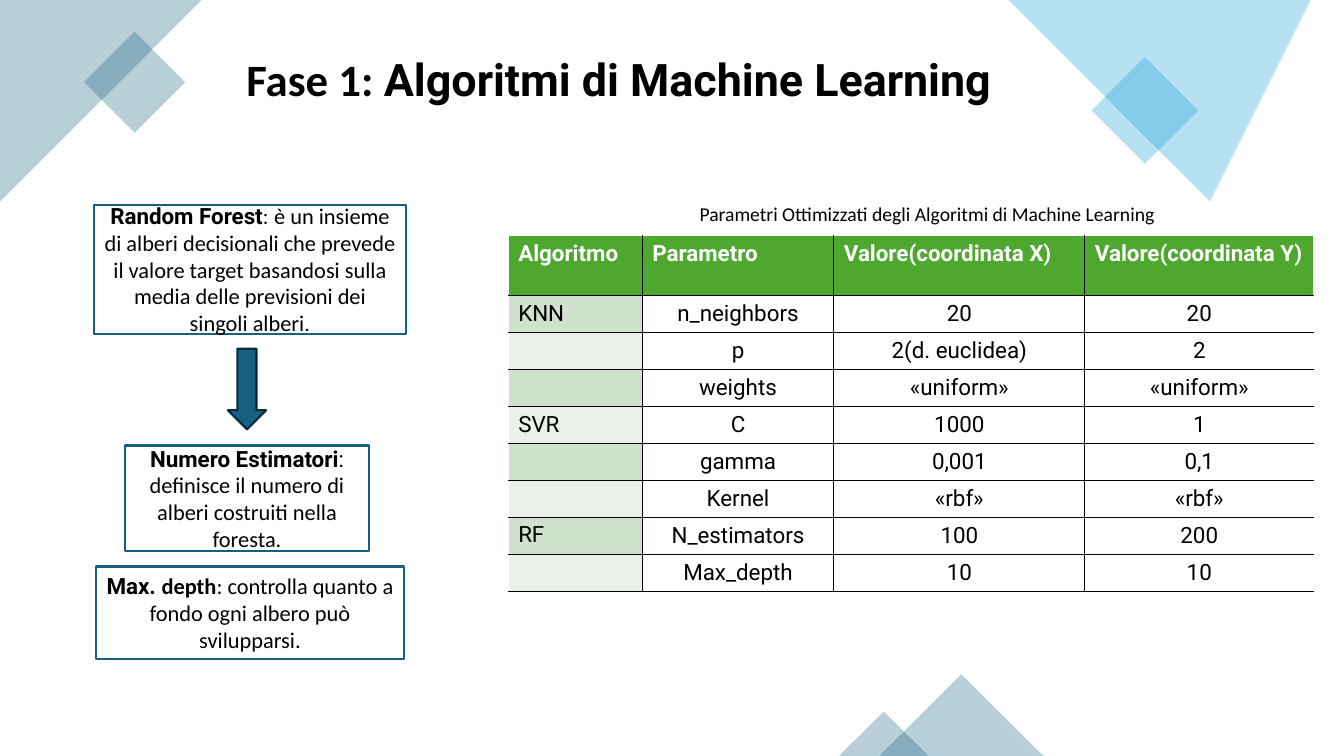
from lxml import etree
from pptx import Presentation
from pptx import util as u
from pptx.dml.color import RGBColor
from pptx.enum import shapes, text
from pptx.oxml.ns import qn


class Theme:
    blue = RGBColor.from_string("156082")
    sky = RGBColor.from_string("0F9ED5")
    navy = RGBColor.from_string("092A39")
    green = RGBColor.from_string("4EA72E")
    bands = [RGBColor.from_string("D0E1CD"), RGBColor.from_string("E9F1E8")]
    black = RGBColor.from_string("000000")
    white = RGBColor.from_string("FFFFFF")
    heading, body = "Roboto", "Calibri"
    title_size, text_size, caption_size = u.Pt(32), u.Pt(16), u.Pt(14)
    outline = u.Pt(1.5)


def paint(shape, fill, line=None, opacity=100):
    shape.shadow.inherit = False
    shape.fill.solid()
    shape.fill.fore_color.rgb = fill
    if opacity < 100:
        color = shape.element.spPr.find(qn("a:solidFill")).find(qn("a:srgbClr"))
        etree.SubElement(color, qn("a:alpha"), val=str(opacity * 1000))
    if line is None:
        shape.line.fill.background()
    else:
        shape.line.color.rgb = line
        shape.line.width = Theme.outline


def write(paragraph, runs, size, align):
    paragraph.alignment = align
    paragraph.font.size = size
    paragraph.font.color.rgb = Theme.black
    for content, font, bold in runs:
        run = paragraph.add_run()
        run.text = content
        run.font.name = font
        run.font.bold = bold


presentation = Presentation()
presentation.slide_width, presentation.slide_height = u.Inches(13.33), u.Inches(7.5)
slide = presentation.slides.add_slide(presentation.slide_layouts[5])
center, left_align = text.PP_ALIGN.CENTER, text.PP_ALIGN.LEFT
shape_type = shapes.MSO_SHAPE

corners = [
    ([(1.53, 0), (0, 0), (0, 1.3), (0.41, 1.71), (1.83, 0.3)], Theme.blue),
    ([(13.33, 0), (10.23, 0), (11.93, 1.62), (13.33, 0.28)], Theme.sky),
]
for points, color in corners:
    builder = slide.shapes.build_freeform(*points[0], scale=u.Inches(1))
    builder.add_line_segments(points[1:], close=True)
    paint(builder.convert_to_shape(), color, opacity=30)

ornaments = [
    (shape_type.RECTANGLE, 0.98, 0.46, 0.71, 0.71, 315, Theme.blue),
    (shape_type.RECTANGLE, 10.98, 0.72, 0.75, 0.75, 315, Theme.sky),
    (shape_type.ISOSCELES_TRIANGLE, 8.72, 6.69, 1.63, 0.81, 0, Theme.blue),
    (shape_type.ISOSCELES_TRIANGLE, 8.32, 7.06, 0.89, 0.44, 0, Theme.blue),
]
for kind, *box, rotation, color in ornaments:
    ornament = slide.shapes.add_shape(kind, *map(u.Inches, box))
    ornament.rotation = rotation
    paint(ornament, color, opacity=30)

title = slide.shapes.title
title.left, title.top, title.width, title.height = map(u.Inches, (2.34, 0.46, 7.6, 0.64))
title.text_frame.auto_size = text.MSO_AUTO_SIZE.NONE
title.text_frame.vertical_anchor = text.MSO_ANCHOR.MIDDLE
title_runs = [
    ("Fase 1: ", Theme.body, True),
    ("Algoritmi di Machine Learning", Theme.heading, True),
]
write(title.text_frame.paragraphs[0], title_runs, Theme.title_size, center)

definitions = [
    ((0.93, 2.03, 3.1, 1.28), [
        ("Random Forest", Theme.heading, True),
        (": ", "TeX Gyre Pagella", False),
        ("è un insieme di alberi decisionali che prevede il valore target "
         "basandosi sulla media delle previsioni dei singoli alberi", Theme.body, False),
        (".", Theme.heading, False),
    ]),
    ((1.24, 4.42, 2.42, 1.05), [
        ("Numero Estimatori", Theme.heading, True),
        (": ", Theme.heading, False),
        ("definisce il numero di alberi costruiti nella foresta.", Theme.body, False),
    ]),
    ((0.95, 5.62, 3.06, 0.92), [
        ("Max. ", Theme.heading, True),
        ("depth", Theme.body, True),
        (": controlla quanto a fondo ogni albero può svilupparsi.", Theme.body, False),
    ]),
]
for box, runs in definitions:
    definition = slide.shapes.add_shape(shape_type.RECTANGLE, *map(u.Inches, box))
    paint(definition, Theme.white, Theme.blue)
    definition.text_frame.vertical_anchor = text.MSO_ANCHOR.MIDDLE
    write(definition.text_frame.paragraphs[0], runs, Theme.text_size, center)

arrow = slide.shapes.add_shape(shape_type.DOWN_ARROW, *map(u.Inches, (2.26, 3.46, 0.38, 0.8)))
paint(arrow, Theme.blue, Theme.navy)

caption = slide.shapes.add_textbox(*map(u.Inches, (6.84, 1.95, 4.74, 0.34)))
caption.text_frame.word_wrap = True
caption_runs = [("Parametri Ottimizzati degli Algoritmi di Machine Learning", Theme.body, False)]
write(caption.text_frame.paragraphs[0], caption_runs, Theme.caption_size, left_align)

rows = [
    ("Algoritmo", "Parametro", "Valore(coordinata X)", "Valore(coordinata Y)"),
    ("KNN", "n_neighbors", "20", "20"),
    ("", "p", "2(d. euclidea)", "2"),
    ("", "weights", "«uniform»", "«uniform»"),
    ("SVR", "C", "1000", "1"),
    ("", "gamma", "0,001", "0,1"),
    ("", "Kernel", "«rbf»", "«rbf»"),
    ("RF", "N_estimators", "100", "200"),
    ("", "Max_depth", "10", "10"),
]
widths = [1.33, 1.9, 2.49, 2.27]
table = slide.shapes.add_table(
    len(rows), len(widths), *map(u.Inches, (5.04, 2.34, 8, 3.53))).table
table.horz_banding = False
for column, width in zip(table.columns, widths):
    column.width = u.Inches(width)
for row_index, values in enumerate(rows):
    header = row_index == 0
    table.rows[row_index].height = u.Inches(0.59 if header else 0.34)
    for column_index, value in enumerate(values):
        first, last = column_index == 0, column_index == len(widths) - 1
        cell = table.cell(row_index, column_index)
        cell.text = value
        centered = not (header or first)
        cell.vertical_anchor = text.MSO_ANCHOR.MIDDLE if centered else text.MSO_ANCHOR.TOP
        paragraph = cell.text_frame.paragraphs[0]
        paragraph.alignment = center if centered else left_align
        paragraph.font.name = Theme.heading
        paragraph.font.size = Theme.text_size
        paragraph.font.bold = header
        paragraph.font.color.rgb = Theme.white if header else Theme.black
        edges = {"a:lnL": first, "a:lnR": last, "a:lnT": header, "a:lnB": False}
        for tag, outer in edges.items():
            border = etree.SubElement(cell._tc.get_or_add_tcPr(), qn(tag), w=str(u.Pt(1)))
            border_fill = etree.SubElement(border, qn("a:solidFill"))
            border_color = Theme.white if outer else Theme.black
            etree.SubElement(border_fill, qn("a:srgbClr"), val=str(border_color))
        cell.fill.solid()
        if header:
            cell.fill.fore_color.rgb = Theme.green
        elif first:
            cell.fill.fore_color.rgb = Theme.bands[(row_index - 1) % 2]
        else:
            cell.fill.fore_color.rgb = Theme.white

presentation.save("out.pptx")
